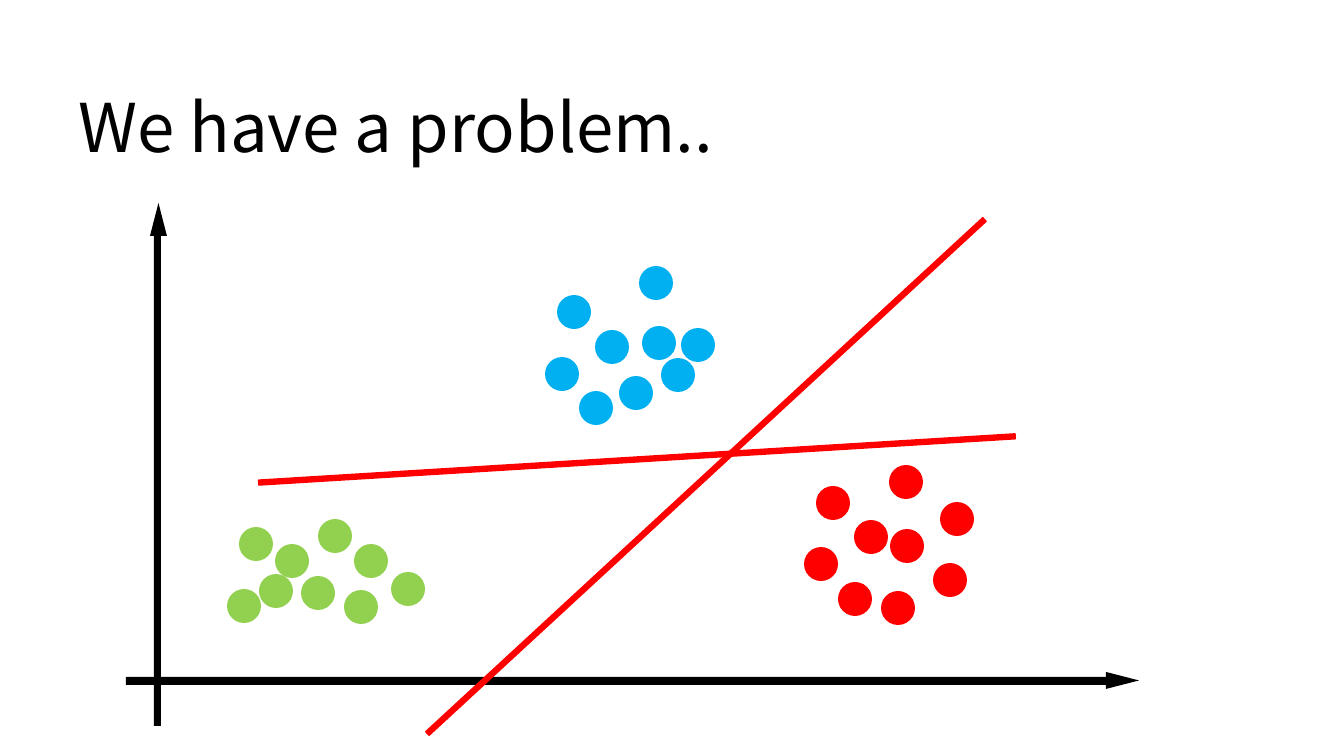
"""Build a slide with three point clusters and two crossing separating lines."""
from pptx import Presentation
from pptx.dml.color import RGBColor
from pptx.enum.shapes import MSO_SHAPE
from pptx.enum.text import MSO_ANCHOR, MSO_AUTO_SIZE, PP_ALIGN
from pptx.util import Emu, Pt

EMU_PER_PIXEL = 914400 / 100.8
DOT_SIZE = 34
FONT = "Noto Sans CJK KR"
COLORS = {"black": "000000", "green": "92D050", "blue": "00B0F0", "red": "FF0000"}

CLUSTERS = {
    "green": [(227, 589), (259, 574), (301, 576), (239, 527), (275, 544),
              (318, 519), (354, 544), (344, 590), (391, 572)],
    "blue": [(545, 357), (579, 391), (619, 376), (557, 295), (595, 330),
             (639, 266), (642, 326), (661, 358), (681, 328)],
    "red": [(804, 547), (838, 582), (881, 591), (816, 486), (854, 520),
            (889, 465), (890, 529), (933, 563), (940, 502)],
}
AXES = [
    (MSO_SHAPE.RECTANGLE, (154, 221, 7, 505), 0),
    (MSO_SHAPE.ISOSCELES_TRIANGLE, (150, 203, 17, 33), 0),
    (MSO_SHAPE.RECTANGLE, (126, 677, 980, 8), 0),
    (MSO_SHAPE.ISOSCELES_TRIANGLE, (1114, 664, 17, 33), 90),
]
SEPARATORS = [((327, 474, 758, 5), 317.3), ((258, 457, 758, 5), 356.5)]


def px(length):
    """Turn pixels into EMU."""
    return Emu(round(length * EMU_PER_PIXEL))


def add_title(slide, text, box):
    """Place and format the title placeholder."""
    title = slide.shapes.title
    title.left, title.top, title.width, title.height = map(px, box)
    frame = title.text_frame
    frame.text = text
    frame.word_wrap = True
    frame.auto_size = MSO_AUTO_SIZE.NONE
    frame.vertical_anchor = MSO_ANCHOR.MIDDLE
    heading = frame.paragraphs[0]
    heading.alignment = PP_ALIGN.LEFT
    heading.line_spacing = 0.9
    heading.font.name = FONT
    heading.font.size = Pt(48)
    heading.font.color.rgb = RGBColor.from_string(COLORS["black"])


def add_solid(slide, preset, box, color, rotation=0):
    """Add a filled, unoutlined preset shape."""
    solid = slide.shapes.add_shape(preset, *map(px, box))
    solid.rotation = rotation
    solid.shadow.inherit = False
    solid.fill.solid()
    solid.fill.fore_color.rgb = RGBColor.from_string(COLORS[color])
    solid.line.fill.background()
    return solid


def add_cluster(slide, corners, color):
    """Add one dot at each top-left corner."""
    for left, top in corners:
        add_solid(slide, MSO_SHAPE.OVAL, (left, top, DOT_SIZE, DOT_SIZE), color)


def add_separator(slide, box, rotation):
    """Add a slanted red bar with a thin outline."""
    separator = add_solid(slide, MSO_SHAPE.RECTANGLE, box, "red", rotation)
    separator.line.color.rgb = RGBColor.from_string(COLORS["red"])
    separator.line.width = Pt(1)


def main():
    """Build and save the slide."""
    deck = Presentation()
    deck.slide_width, deck.slide_height = px(1344), px(756)
    slide = deck.slides.add_slide(deck.slide_layouts[5])
    add_title(slide, "We have a problem..", (68, 85, 1148, 92))
    for preset, box, rotation in AXES:
        add_solid(slide, preset, box, "black", rotation)
    for color, corners in CLUSTERS.items():
        add_cluster(slide, corners, color)
    for box, rotation in SEPARATORS:
        add_separator(slide, box, rotation)
    deck.save("out.pptx")


main()
